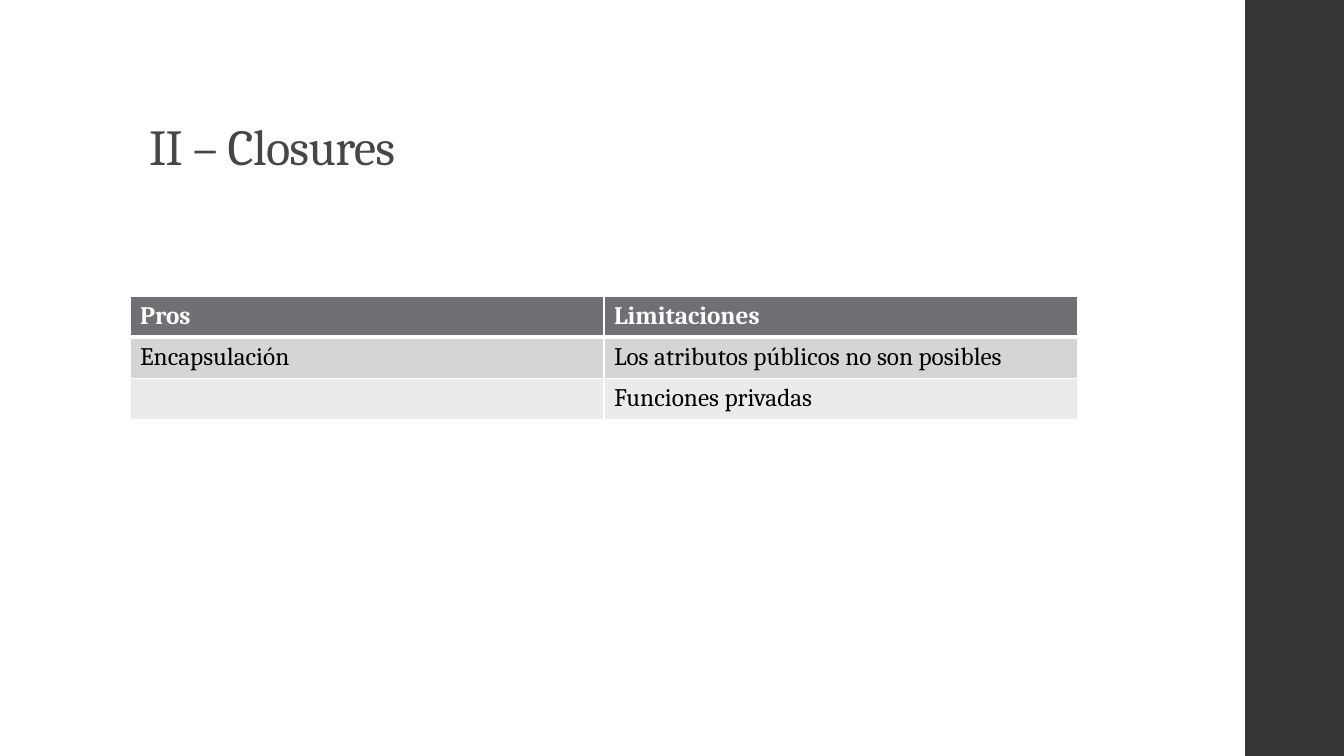
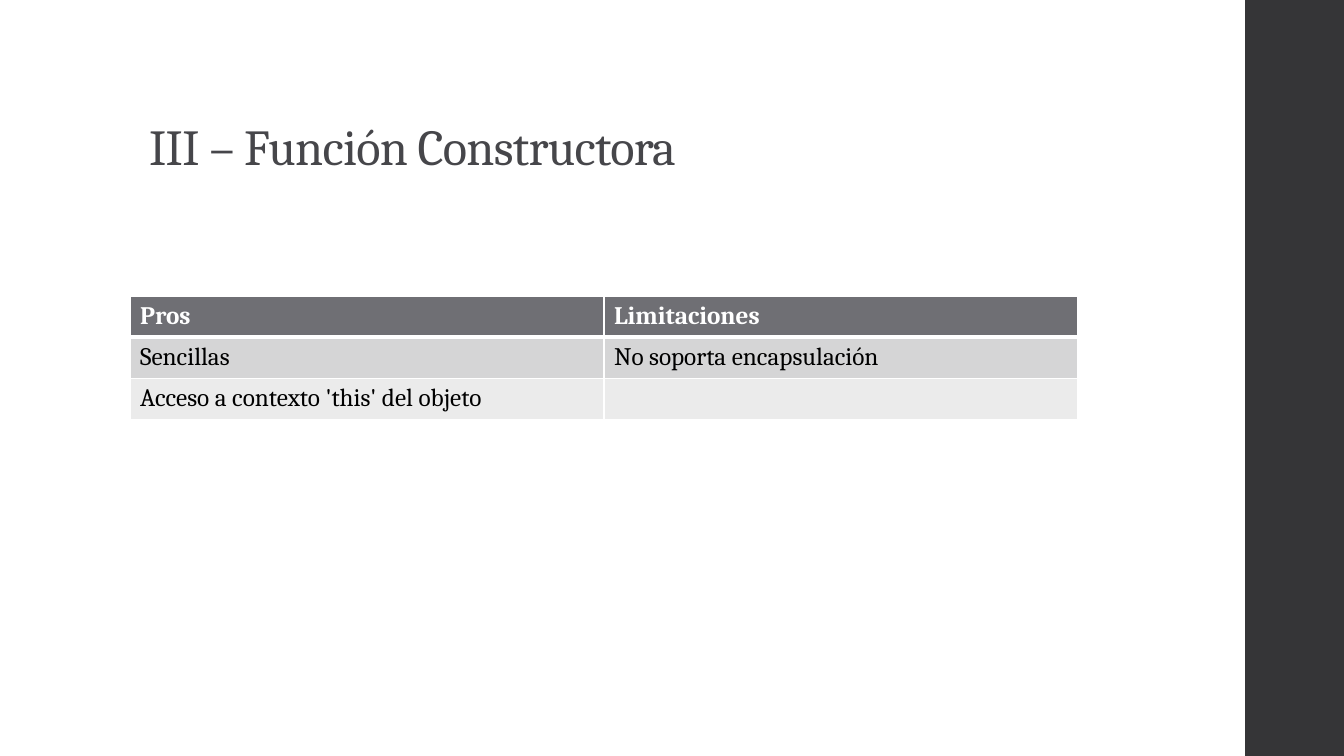
from dataclasses import dataclass

from lxml import etree
from pptx import Presentation
from pptx.dml.color import RGBColor
from pptx.enum.shapes import MSO_SHAPE
from pptx.enum.text import MSO_ANCHOR, MSO_AUTO_SIZE, PP_ALIGN
from pptx.oxml.ns import qn
from pptx.util import Inches, Pt

RECT = MSO_SHAPE.RECTANGLE
BOTTOM = MSO_ANCHOR.BOTTOM
NO_FIT = MSO_AUTO_SIZE.NONE
LEFT = PP_ALIGN.LEFT
TITLE_ONLY = 5


@dataclass(frozen=True)
class Theme:
    font: str = "Cambria"
    title_size: int = 36
    table_size: int = 18
    title: str = "46464A"
    band: str = "353537"
    header: str = "6F6F74"
    stripes: tuple = ("D5D5D6", "EBEBEB")
    text: str = "000000"
    white: str = "FFFFFF"


THEME = Theme()
WIDTH, HEIGHT = 13.33, 7.5
BAND_BOX = (12.35, 0, 1, HEIGHT)
TITLE_BOX = (1.38, 0.4, 10.6, 1.4)
TABLE_BOX = (1.29, 2.94, 9.4, 1.22)

HEADINGS = ("Pros", "Limitaciones")
SLIDES = (
    ("II –\u00a0Closures",
     (("Encapsulación", "Los atributos públicos no son posibles"),
      ("", "Funciones privadas"))),
    ("III – Función Constructora",
     (("Sencillas", "No soporta encapsulación"),
      ("Acceso a contexto 'this' del objeto", ""))),
)


def inches(box):
    return [Inches(v) for v in box]


def style_font(p, size, color, bold=False):
    font = p.font
    font.name, font.size, font.bold = THEME.font, Pt(size), bold
    font.color.rgb = RGBColor.from_string(color)


def prepare_layout(layout):
    title = layout.placeholders[0]
    title.left, title.top, title.width, title.height = inches(TITLE_BOX)


def add_band(s, box):
    """Draw the side band and move it to the layout, which all slides share."""
    band = s.shapes.add_shape(RECT, *inches(box))
    band.shadow.inherit = False
    band.fill.solid()
    band.fill.fore_color.rgb = RGBColor.from_string(THEME.band)
    band.line.fill.background()
    s.slide_layout.shapes.element.insert(2, band.element)


def fill_title(s, text):
    tf = s.shapes.title.text_frame
    tf.text = text
    tf.word_wrap, tf.auto_size, tf.vertical_anchor = True, NO_FIT, BOTTOM
    p = tf.paragraphs[0]
    p.alignment, p.line_spacing = LEFT, 0.9
    style_font(p, THEME.title_size, THEME.title)
    p.runs[0].font._element.set("spc", "-50")


def set_borders(cell, bottom):
    """Give a cell white borders, 1 pt wide except at the bottom."""
    tc_pr = cell._tc.get_or_add_tcPr()
    widths = (("lnL", 1), ("lnR", 1), ("lnT", 1), ("lnB", bottom))
    for i, (side, width) in enumerate(widths):
        ln = etree.Element(qn(f"a:{side}"), w=str(Pt(width)))
        fill = etree.SubElement(ln, qn("a:solidFill"))
        etree.SubElement(fill, qn("a:srgbClr"), val=THEME.white)
        tc_pr.insert(i, ln)


def add_comparison(s, box, rows):
    left, top, width, height = inches(box)
    table = s.shapes.add_table(len(rows), len(rows[0]),
                               left, top, width, height).table
    for r, texts in enumerate(rows):
        header = r == 0
        fill = THEME.header if header else THEME.stripes[(r - 1) % 2]
        color = THEME.white if header else THEME.text
        for c, text in enumerate(texts):
            cell = table.cell(r, c)
            cell.text = text
            cell.fill.solid()
            cell.fill.fore_color.rgb = RGBColor.from_string(fill)
            style_font(cell.text_frame.paragraphs[0],
                       THEME.table_size, color, header)
            set_borders(cell, bottom=3 if header else 1)


def main():
    prs = Presentation()
    prs.slide_width, prs.slide_height = Inches(WIDTH), Inches(HEIGHT)
    layout = prs.slide_layouts[TITLE_ONLY]
    prepare_layout(layout)
    for i, (title, rows) in enumerate(SLIDES):
        s = prs.slides.add_slide(layout)
        if i == 0:
            add_band(s, BAND_BOX)
        fill_title(s, title)
        add_comparison(s, TABLE_BOX, (HEADINGS, *rows))
    prs.save("out.pptx")


if __name__ == "__main__":
    main()
